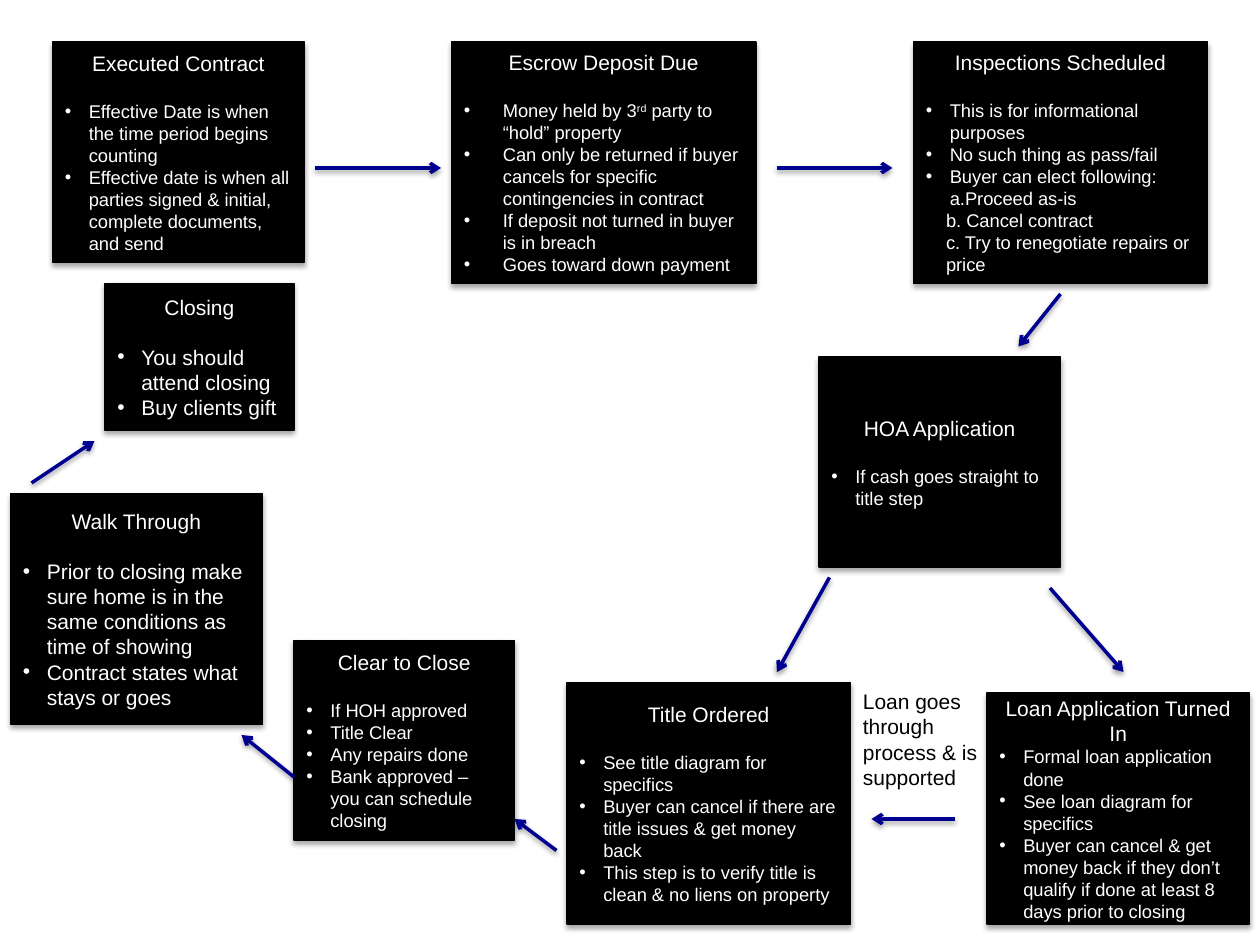
from lxml.etree import SubElement
from pptx import Presentation
from pptx.dml.color import RGBColor
from pptx.enum.shapes import MSO_CONNECTOR, MSO_SHAPE
from pptx.enum.text import MSO_ANCHOR, PP_ALIGN
from pptx.oxml.ns import qn
from pptx.util import Inches, Pt

BLACK = RGBColor(0, 0, 0)
WHITE = RGBColor(255, 255, 255)
NAVY = RGBColor(0, 0, 0x90)
FONT = "Arial"
COLS, ROWS = 120, 90
BULLET, SUB = "bullet", "sub"

STEPS = [
    ((5, 4, 24, 21), "Executed Contract", 10.5, 0.19, [
        "Effective Date is when the time period begins counting",
        "Effective date is when all parties signed & initial, complete documents, and send"]),
    ((43, 4, 29, 23), "Escrow Deposit Due", 10.5, 0.31, [
        "Money held by 3^rd^ party to “hold” property",
        "Can only be returned if buyer cancels for specific contingencies in contract",
        "If deposit not turned in buyer is in breach",
        "Goes toward down payment"]),
    ((87, 4, 28, 23), "Inspections Scheduled", 10.5, 0.19, [
        "This is for informational purposes",
        "No such thing as pass/fail",
        "Buyer can elect following:\va.Proceed as-is",
        (SUB, "b. Cancel contract"),
        (SUB, "c. Try to renegotiate repairs or price")]),
    ((78, 34, 23, 20), "HOA Application", 10.5, 0.19, [
        "If cash goes straight to title step"]),
    ((94, 66, 25, 22), "Loan Application Turned In", 10.5, 0.19, [
        "Formal loan application done",
        "See loan diagram for specifics",
        "Buyer can cancel & get money back if they don’t qualify if done at least 8 "
        "days prior to closing"]),
    ((54, 65, 27, 23), "Title Ordered", 10.5, 0.19, [
        "See title diagram for specifics",
        "Buyer can cancel if there are title issues & get money back",
        "This step is to verify title is clean & no liens on property"]),
    ((28, 61, 21, 19), "Clear to Close", 10.5, 0.19, [
        "If HOH approved", "Title Clear", "Any repairs done",
        "Bank approved – you can schedule closing"]),
    ((1, 47, 24, 22), "Walk Through", 12, 0.19, [
        "Prior to closing make sure home is in the same conditions as time of showing",
        "Contract states what stays or goes"]),
    ((10, 27, 18, 14), "Closing", 12, 0.19, [
        "You should attend closing", "Buy clients gift"]),
]
ARROWS = [
    (30, 16, 42, 16), (74, 16, 85, 16), (101, 28, 97, 33), (79, 55, 74, 64),
    (100, 56, 107, 64), (91, 78, 83, 78), (53, 81, 49, 78), (28, 74, 23, 70),
    (3, 46, 9, 42),
]

prs = Presentation()
prs.slide_width, prs.slide_height = Inches(10), Inches(7.5)
s = prs.slides.add_slide(prs.slide_layouts[6])


def grid(x, y, *size):
    """Turn column and row counts into slide lengths."""
    w, h = prs.slide_width / COLS, prs.slide_height / ROWS
    return [round(n * unit) for n, unit in zip((x, y, *size), (w, h, w, h))]


def add_shadow(sp, dist, alpha):
    """Give a shape or connector a soft shadow falling downwards."""
    spPr = sp._element.spPr
    effects = spPr.find(qn("a:effectLst"))
    if effects is None:
        effects = SubElement(spPr, qn("a:effectLst"))
    shadow = SubElement(effects, qn("a:outerShdw"), blurRad=str(Pt(3.1)),
                        dist=str(Pt(dist)), dir="5400000", rotWithShape="0")
    color = SubElement(shadow, qn("a:srgbClr"), val=str(BLACK))
    SubElement(color, qn("a:alpha"), val=str(alpha * 1000))


def format_runs(p, size, color):
    """Apply font, size and colour to every run of a paragraph."""
    for r in p.runs:
        r.font.name, r.font.size = FONT, Pt(size)
        r.font.color.rgb = color


def add_item(tf, item, size, indent):
    """Add a bulleted or indented line, with text between carets raised."""
    kind, text = item if isinstance(item, tuple) else (BULLET, item)
    p = tf.add_paragraph()
    p.alignment = PP_ALIGN.LEFT
    if "^" in text:
        for i, part in enumerate(text.split("^")):
            r = p.add_run()
            r.text = part
            if i % 2:
                r.font._element.set("baseline", "30000")
    else:
        p.text = text
    pPr = p._p.get_or_add_pPr()
    if kind == BULLET:
        pPr.set("marL", str(Inches(indent)))
        pPr.set("indent", str(-Inches(indent)))
        SubElement(pPr, qn("a:buFont"), typeface=FONT)
        SubElement(pPr, qn("a:buChar"), char="•")
    else:
        pPr.set("marL", str(Inches(0.16)))
    format_runs(p, size, WHITE)


def add_step(box, title, size, indent, items):
    """Draw one black step box with its heading and list."""
    sp = s.shapes.add_shape(MSO_SHAPE.RECTANGLE, *grid(*box))
    sp.fill.solid()
    sp.fill.fore_color.rgb = BLACK
    sp.line.color.rgb = BLACK
    sp.line.width = Pt(0.75)
    sp.shadow.inherit = False
    add_shadow(sp, 1.8, 35)
    tf = sp.text_frame
    tf.word_wrap = True
    tf.vertical_anchor = MSO_ANCHOR.MIDDLE
    tf.text = title
    p = tf.paragraphs[0]
    p.alignment = PP_ALIGN.CENTER
    p.space_after = Pt(0 if title.startswith("Loan") else 14)
    format_runs(p, 12, WHITE)
    for item in items:
        add_item(tf, item, size, indent)


def add_arrow(x1, y1, x2, y2):
    """Draw an arrow between two grid points."""
    c = s.shapes.add_connector(MSO_CONNECTOR.STRAIGHT, *grid(x1, y1), *grid(x2, y2))
    c.line.color.rgb = NAVY
    c.line.width = Pt(2)
    SubElement(c.line._get_or_add_ln(), qn("a:tailEnd"), type="arrow")
    add_shadow(c, 1.6, 38)


def add_note(box, text):
    """Place a plain wrapped caption."""
    tf = s.shapes.add_textbox(*grid(*box)).text_frame
    tf.word_wrap = True
    tf.text = text
    format_runs(tf.paragraphs[0], 12, BLACK)


for step in STEPS:
    add_step(*step)
for arrow in ARROWS:
    add_arrow(*arrow)
add_note((81, 65, 14, 11), "Loan goes through process & is supported")
prs.save("out.pptx")
